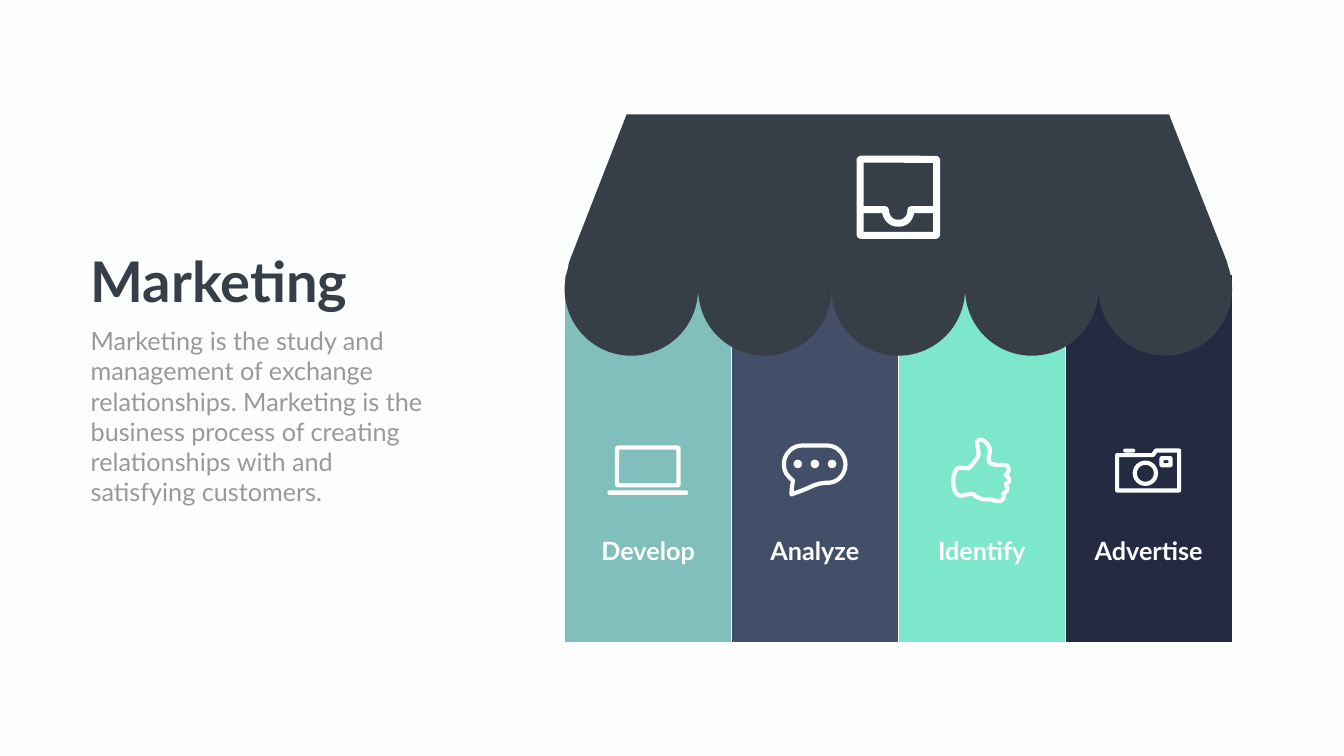
from dataclasses import dataclass

from pptx import Presentation
from pptx.dml.color import RGBColor
from pptx.enum.shapes import MSO_SHAPE
from pptx.enum.text import MSO_ANCHOR, PP_ALIGN
from pptx.util import Inches, Pt


@dataclass(frozen=True)
class Theme:
    font: str = "Lato"
    paper: str = "FDFFFE"
    white: str = "FFFFFF"
    dark: str = "363E48"
    grey: str = "999999"
    title_size: int = 80
    text_size: int = 36
    thin_line: float = 0.75
    icon_line: float = 6
    large_icon_line: float = 10


THEME = Theme()

STALLS = [
    ("Develop", "80BFBC"),
    ("Analyze", "434F69"),
    ("Identify", "7DE7CB"),
    ("Advertise", "232A41"),
]
STALL_LEFT, STALL_TOP, STALL_WIDTH, STALL_HEIGHT = 11.2, 5.45, 3.31, 7.29
SCALLOP_COUNT, SCALLOP_TOP = 5, 4.41

# Outlines: a start point, then line ends (x, y) or Bezier segments (six numbers)
ROOF = [
    (12.43, 2.27), (11.3, 5.17), (11.19, 5.45, 11.39, 5.75, 11.7, 5.75),
    (23.93, 5.75), (24.23, 5.75, 24.44, 5.45, 24.33, 5.17), (23.19, 2.27),
]
INBOX_SHELF = [
    (17.06, 4.16), (17.56, 4.16), (17.57, 4.31, 17.66, 4.43, 17.82, 4.43),
    (17.98, 4.43, 18.07, 4.31, 18.07, 4.16), (18.58, 4.16),
]
BUBBLE = [
    (15.93, 8.84), (16.39, 8.84),
    (16.49, 8.84, 16.59, 8.87, 16.66, 8.95), (16.73, 9.02, 16.77, 9.12, 16.77, 9.21),
    (16.77, 9.31, 16.73, 9.41, 16.66, 9.48), (16.59, 9.55, 16.5, 9.58, 16.4, 9.58),
    (16.29, 9.58, 16.19, 9.61, 16.1, 9.65), (15.93, 9.73, 15.78, 9.78, 15.7, 9.81),
    (15.7, 9.75, 15.71, 9.65, 15.73, 9.53), (15.68, 9.5, 15.64, 9.45, 15.6, 9.4),
    (15.57, 9.35, 15.55, 9.28, 15.55, 9.21), (15.55, 9.11, 15.59, 9.02, 15.66, 8.95),
    (15.73, 8.87, 15.83, 8.84, 15.93, 8.84),
]
THUMB = [
    (19.57, 9.91),
    (19.65, 9.9, 19.7, 9.93, 19.77, 9.94), (19.87, 9.95, 19.92, 9.9, 19.91, 9.83),
    (19.9, 9.78), (20, 9.76, 19.99, 9.69, 19.95, 9.6),
    (20.04, 9.57, 20.04, 9.49, 19.95, 9.42), (20.04, 9.35, 20.02, 9.24, 19.94, 9.23),
    (19.86, 9.21, 19.72, 9.25, 19.63, 9.18), (19.57, 9.12, 19.67, 8.96, 19.62, 8.87),
    (19.54, 8.71, 19.44, 8.7, 19.39, 8.76), (19.36, 8.81, 19.41, 8.83, 19.41, 9.02),
    (19.41, 9.07, 19.33, 9.17, 19.22, 9.29), (19.03, 9.28),
    (18.97, 9.28, 18.91, 9.38, 18.91, 9.56), (18.91, 9.75, 18.98, 9.86, 19.11, 9.83),
    (19.2, 9.8, 19.28, 9.8, 19.3, 9.8), (19.37, 9.87, 19.47, 9.91, 19.57, 9.91),
]
CAMERA_BODY = [
    (22.16, 9.03), (22.87, 9.03), (22.93, 8.94),
    (23.39, 8.94), (23.39, 9.73), (22.16, 9.73),
]


def paint(shape, fill=None, line=None, line_width=THEME.icon_line):
    shape.shadow.inherit = False
    if fill:
        shape.fill.solid()
        shape.fill.fore_color.rgb = RGBColor.from_string(fill)
    else:
        shape.fill.background()
    if line:
        shape.line.color.rgb = RGBColor.from_string(line)
        shape.line.width = Pt(line_width)
    else:
        shape.line.fill.background()


def add_preset(page, kind, left, top, width, height, radius=None, **style):
    shape = page.shapes.add_shape(
        kind, Inches(left), Inches(top), Inches(width), Inches(height))
    if radius is not None:
        shape.adjustments[0] = radius / min(width, height)
    paint(shape, **style)


def trace(outline, steps=10):
    """Turn an outline of lines and Bezier segments into points."""
    points = [outline[0]]
    for segment in outline[1:]:
        if len(segment) == 2:
            points.append(segment)
            continue
        x0, y0 = points[-1]
        x1, y1, x2, y2, x3, y3 = segment
        for step in range(1, steps + 1):
            t = step / steps
            u = 1 - t
            weights = (u ** 3, 3 * u * u * t, 3 * u * t * t, t ** 3)
            points.append(tuple(
                sum(weight * value for weight, value in zip(weights, values))
                for values in ((x0, x1, x2, x3), (y0, y1, y2, y3))))
    return points


def add_outline(page, outline, close=True, **style):
    points = [(Inches(x), Inches(y)) for x, y in trace(outline)]
    builder = page.shapes.build_freeform(*points[0])
    builder.add_line_segments(points[1:], close=close)
    paint(builder.convert_to_shape(), **style)


def add_text(page, text, left, top, width, height, size=THEME.text_size,
             color=THEME.white, bold=False, align=PP_ALIGN.LEFT):
    box = page.shapes.add_textbox(
        Inches(left), Inches(top), Inches(width), Inches(height))
    frame = box.text_frame
    frame.word_wrap = True
    frame.vertical_anchor = MSO_ANCHOR.TOP
    para = frame.paragraphs[0]
    para.alignment = align
    span = para.add_run()
    span.text = text
    span.font.name = THEME.font
    span.font.size = Pt(size)
    span.font.bold = bold
    span.font.color.rgb = RGBColor.from_string(color)


def add_shop(page):
    # Stalls
    for index, (_, color) in enumerate(STALLS):
        add_preset(page, MSO_SHAPE.RECTANGLE, STALL_LEFT + index * STALL_WIDTH,
                   STALL_TOP, STALL_WIDTH, STALL_HEIGHT,
                   fill=color, line=THEME.white, line_width=THEME.thin_line)
    # Awning
    scallop = STALL_WIDTH * len(STALLS) / SCALLOP_COUNT
    for index in range(SCALLOP_COUNT):
        add_preset(page, MSO_SHAPE.OVAL, STALL_LEFT + index * scallop,
                   SCALLOP_TOP, scallop, scallop, fill=THEME.dark)
    add_outline(page, ROOF, fill=THEME.dark)


def add_icons(page):
    ink = THEME.paper
    rounded = MSO_SHAPE.ROUNDED_RECTANGLE
    # Camera
    add_outline(page, CAMERA_BODY, line=ink)
    add_preset(page, rounded, 22.28, 8.9, 0.24, 0.08, radius=0.04, fill=ink)
    add_preset(page, rounded, 23.04, 9.09, 0.18, 0.14, radius=0.01, line=ink)
    add_preset(page, MSO_SHAPE.OVAL, 22.51, 9.18, 0.42, 0.42, line=ink)
    # Thumb
    add_outline(page, THUMB, line=ink)
    # Speech bubble
    add_outline(page, BUBBLE, line=ink)
    for index in range(3):
        add_preset(page, MSO_SHAPE.OVAL, 15.74 + index * 0.34, 9.12, 0.17, 0.17, fill=ink)
    # Laptop
    add_preset(page, rounded, 12.24, 8.88, 1.22, 0.75, radius=0.02, line=ink)
    add_preset(page, rounded, 12.05, 9.73, 1.6, 0.09, radius=0.04, fill=ink)
    # Inbox
    add_preset(page, rounded, 17.06, 3.16, 1.52, 1.51, radius=0.02,
               line=ink, line_width=THEME.large_icon_line)
    add_outline(page, INBOX_SHELF, close=False, line=ink,
                line_width=THEME.large_icon_line)


def main():
    deck = Presentation()
    deck.slide_width, deck.slide_height = Inches(26.66), Inches(15)
    page = deck.slides.add_slide(deck.slide_layouts[6])
    page.background.fill.solid()
    page.background.fill.fore_color.rgb = RGBColor.from_string(THEME.paper)

    add_shop(page)
    add_icons(page)

    # Stall labels
    for index, (label, _) in enumerate(STALLS):
        add_text(page, label, 11.55 + index * STALL_WIDTH, 10.57, 2.61, 0.71,
                 bold=True, align=PP_ALIGN.CENTER)

    # Heading and description
    add_text(page, "Marketing", 1.7, 4.85, 7.05, 1.45,
             size=THEME.title_size, color=THEME.dark, bold=True)
    add_text(page, "Marketing is the study and management of exchange relationships. "
             "Marketing is the business process of creating relationships with and "
             "satisfying customers.", 1.7, 6.41, 6.86, 3.74, color=THEME.grey)

    deck.save("out.pptx")


if __name__ == "__main__":
    main()
